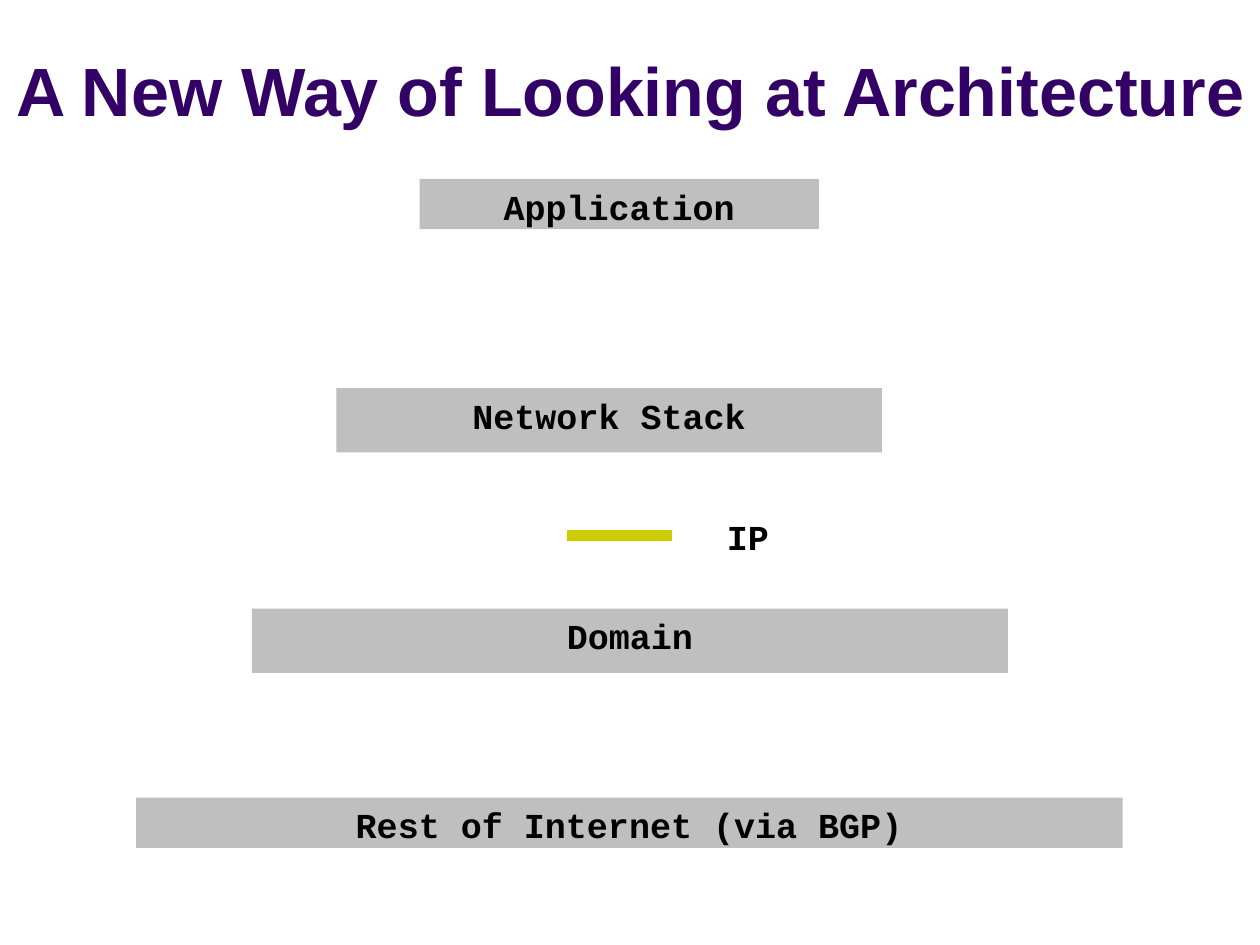
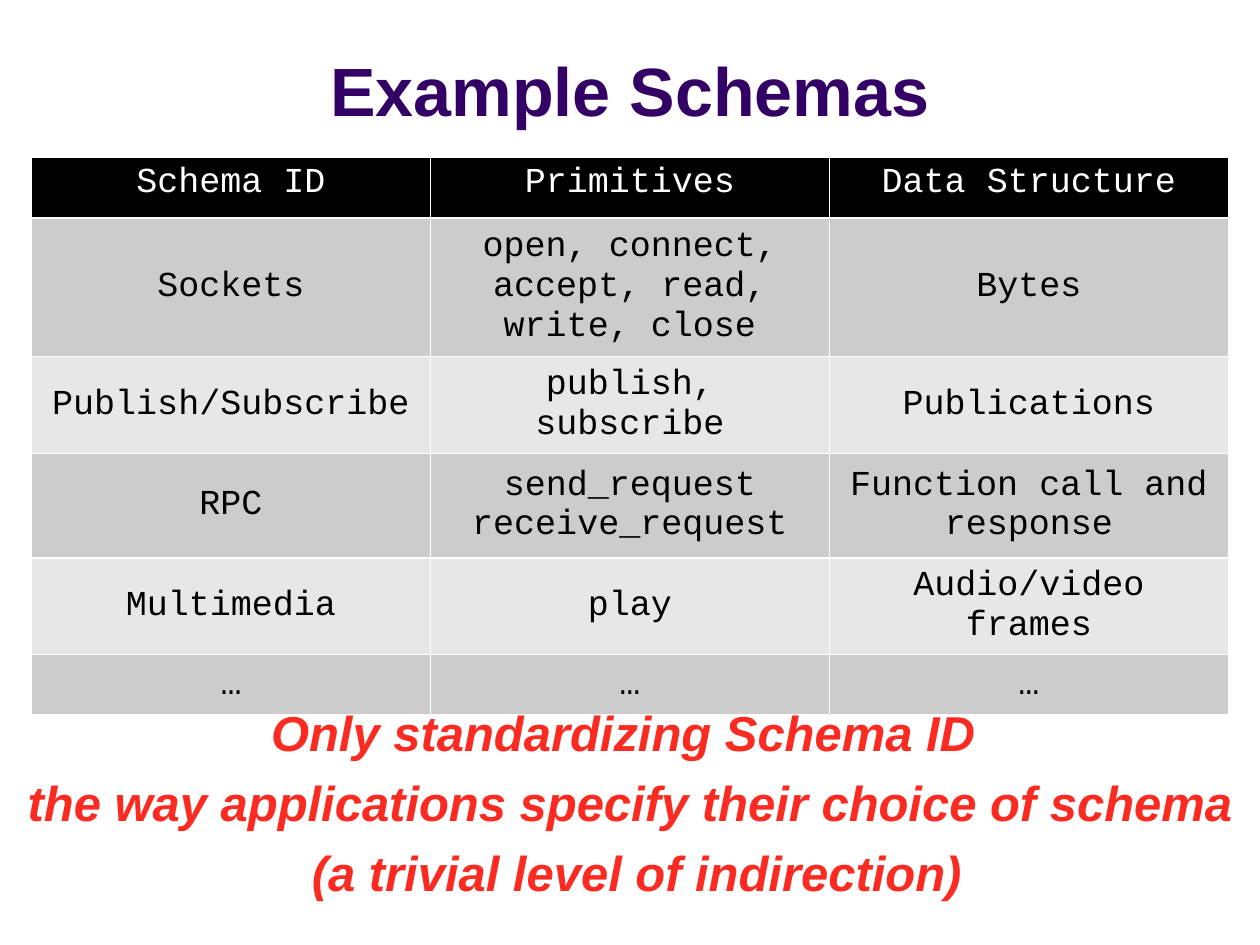
"""Build two slides on network architecture layers and example schemas."""
from lxml import etree
from pptx import Presentation
from pptx.dml.color import RGBColor
from pptx.enum.shapes import MSO_CONNECTOR as Connector, MSO_SHAPE as Shape
from pptx.enum.text import MSO_ANCHOR as Anchor, PP_ALIGN as Align
from pptx.oxml import parse_xml
from pptx.oxml.ns import nsdecls, qn
from pptx.util import Inches, Pt

COLORS = {
    "title": "330066", "layer": "808080", "link": "CCCC00", "note": "FC2B22",
    "black": "000000", "white": "FFFFFF", "odd": "CCCCCC", "even": "E7E7E7",
}
SANS, MONO = "Arial", "Courier New"


def style(paragraph, font, size, color, bold=True, italic=False, align=Align.CENTER):
    paragraph.alignment = align
    paragraph.font.name = font
    paragraph.font.size = Pt(size)
    paragraph.font.bold = bold
    paragraph.font.italic = italic
    paragraph.font.color.rgb = RGBColor.from_string(COLORS[color])


def add_text(slide, left, top, width, height, text, anchor=Anchor.TOP):
    box = slide.shapes.add_textbox(Inches(left), Inches(top), Inches(width), Inches(height))
    frame = box.text_frame
    frame.word_wrap = True
    frame.vertical_anchor = anchor
    frame.text = text
    return frame.paragraphs


presentation = Presentation()
presentation.slide_width, presentation.slide_height = Inches(10), Inches(7.5)

slides = []
for title, left, width in [
    ("A New Way of Looking at Architecture", -0.08, 10.17),
    ("Example Schemas", 0, 10),
]:
    slide = presentation.slides.add_slide(presentation.slide_layouts[6])
    paragraphs = add_text(slide, left, 0.13, width, 0.95, title, Anchor.BOTTOM)
    style(paragraphs[0], SANS, 39, "title")
    slides.append(slide)
architecture, schemas = slides

LAYERS = [
    ("Application", 3.33, 1.42, 3.17, 0.4),
    ("Network Stack", 2.67, 3.08, 4.33, 0.51),
    ("Domain", 2, 4.83, 6, 0.51),
    ("Rest of Internet (via BGP)", 1.08, 6.33, 7.83, 0.4),
]
for name, *place in LAYERS:
    layer = architecture.shapes.add_shape(Shape.RECTANGLE, *map(Inches, place))
    layer.shadow.inherit = False
    layer.line.fill.background()
    layer.fill.solid()
    layer.fill.fore_color.rgb = RGBColor.from_string(COLORS["layer"])
    fill_color = layer.element.spPr.find(".//" + qn("a:srgbClr"))
    etree.SubElement(fill_color, qn("a:alpha"), val="50000")
    layer.text_frame.vertical_anchor = Anchor.TOP
    layer.text_frame.text = name
    style(layer.text_frame.paragraphs[0], MONO, 20, "black")

link = architecture.shapes.add_connector(
    Connector.STRAIGHT, Inches(4.5), Inches(4.25), Inches(5.33), Inches(4.25))
link.line.color.rgb = RGBColor.from_string(COLORS["link"])
link.line.width = Pt(6)
etree.SubElement(link.element.spPr, qn("a:effectLst"))
paragraphs = add_text(architecture, 5.67, 4.04, 2.67, 0.5, "IP")
style(paragraphs[0], MONO, 20, "black", align=Align.LEFT)

SCHEMAS = [
    ("Schema ID", "Primitives", "Data Structure"),
    ("Sockets", "open, connect, accept, read, write, close", "Bytes"),
    ("Publish/Subscribe", "publish, subscribe", "Publications"),
    ("RPC", "send_request receive_request", "Function call and response"),
    ("Multimedia", "play", "Audio/video frames"),
    ("…", "…", "…"),
]
ROW_HEIGHTS = [0.48, 0.83, 0.48, 0.83, 0.48, 0.48]
table = schemas.shapes.add_table(
    len(SCHEMAS), 3, Inches(0.25), Inches(1.25), Inches(9.5), Inches(3.58)).table
table.first_row = table.horz_banding = False
for row_index, (texts, height) in enumerate(zip(SCHEMAS, ROW_HEIGHTS)):
    table.rows[row_index].height = Inches(height)
    header = row_index == 0
    fill = "black" if header else "odd" if row_index % 2 else "even"
    for column_index, text in enumerate(texts):
        cell = table.cell(row_index, column_index)
        cell.text = text
        cell.vertical_anchor = Anchor.TOP if header else Anchor.MIDDLE
        cell.fill.solid()
        cell.fill.fore_color.rgb = RGBColor.from_string(COLORS[fill])
        style(cell.text_frame.paragraphs[0], MONO, 20, "white" if header else "black", bold=False)
        properties = cell._tc.get_or_add_tcPr()
        for position, side in enumerate("LRTB"):
            properties.insert(position, parse_xml(
                f'<a:ln{side} {nsdecls("a")} w="{Pt(1)}"><a:solidFill>'
                f'<a:srgbClr val="{COLORS["white"]}"/></a:solidFill></a:ln{side}>'))

NOTE = [
    "Only standardizing Schema ID ",
    "the way applications specify their choice of schema",
    " (a trivial level of indirection)",
]
for paragraph in add_text(schemas, 0, 5.58, 10, 1.66, "\n".join(NOTE)):
    style(paragraph, SANS, 28, "note", italic=True)
    paragraph.line_spacing = 0.9
    paragraph.space_before = Pt(9.7)

presentation.save("out.pptx")
